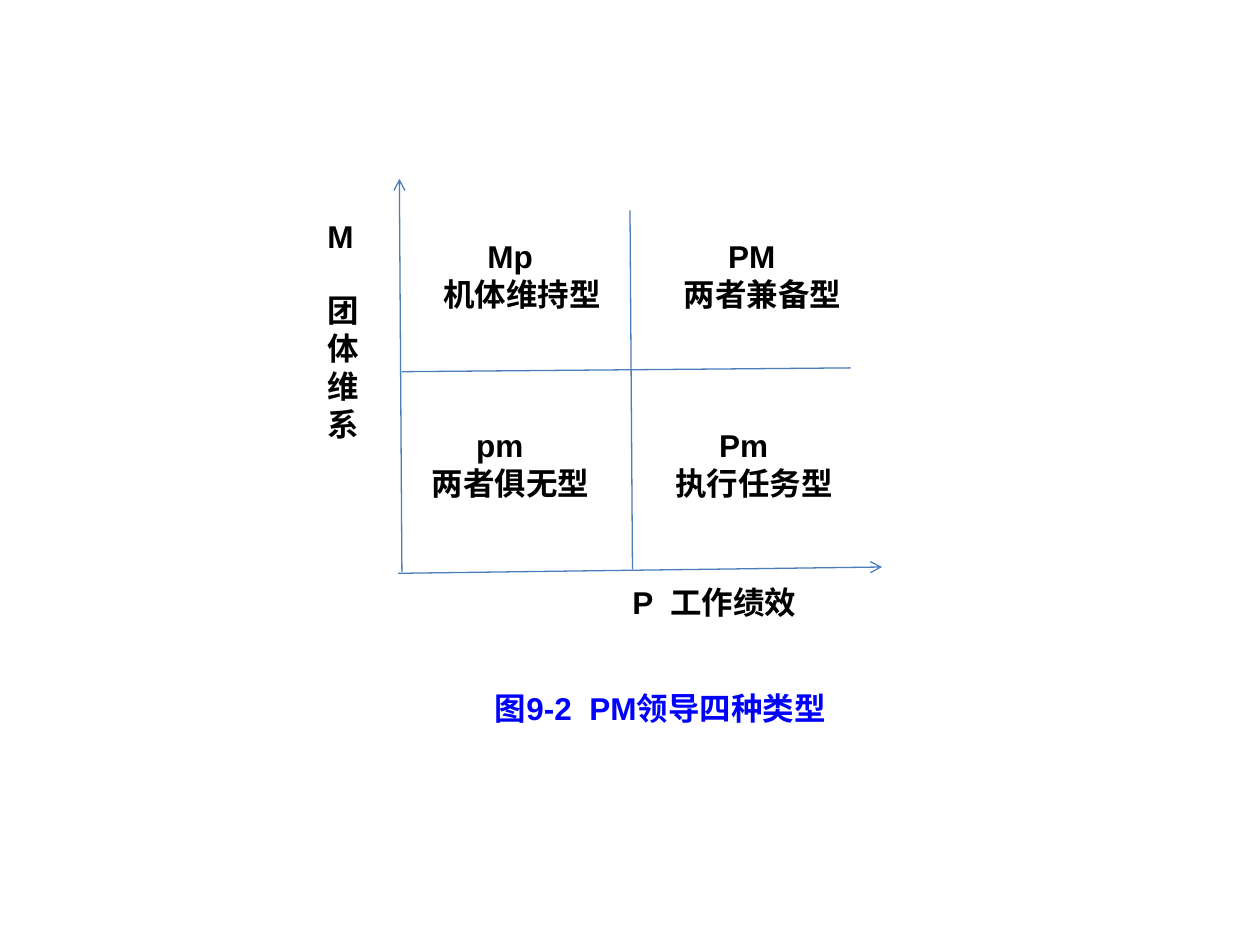
import pptx
import pptx.dml.color
import pptx.enum.shapes
import pptx.enum.text
import pptx.oxml
import pptx.oxml.ns
import pptx.util
from pptx.util import Inches

AXIS_BLUE = pptx.dml.color.RGBColor(0x4A, 0x7E, 0xBB)
BLACK = pptx.dml.color.RGBColor(0, 0, 0)
CAPTION_BLUE = pptx.dml.color.RGBColor(0, 0, 0xFF)

prs = pptx.Presentation()
prs.slide_width, prs.slide_height = Inches(10), Inches(7.5)
s = prs.slides.add_slide(prs.slide_layouts[6])


def add_label(x, y, w, h, lines, color=BLACK):
    tf = s.shapes.add_textbox(Inches(x), Inches(y), Inches(w), Inches(h)).text_frame
    tf.word_wrap = True
    tf.auto_size = pptx.enum.text.MSO_AUTO_SIZE.SHAPE_TO_FIT_TEXT
    tf.text = "\n".join(lines)
    for p in tf.paragraphs:
        for r in p.runs:
            r.font.name = "Arial"
            r.font.size = pptx.util.Pt(18)
            r.font.bold = True
            r.font.color.rgb = color
    return tf


# Axes with arrowheads, then the two dividing lines
for x1, y1, x2, y2, is_axis in [
    (3.16, 4.55, 7, 4.5, True),
    (3.19, 4.54, 3.17, 1.42, True),
    (3.19, 2.95, 6.75, 2.92, False),
    (5.02, 4.52, 5, 1.67, False),
]:
    line = s.shapes.add_connector(
        pptx.enum.shapes.MSO_CONNECTOR.STRAIGHT,
        Inches(x1), Inches(y1), Inches(x2), Inches(y2))
    line.line.color.rgb = AXIS_BLUE
    line.line.width = pptx.util.Pt(0.75)
    if is_axis:
        ln = line.line._get_or_add_ln()
        ln.append(pptx.oxml.parse_xml(
            '<a:tailEnd %s type="arrow"/>' % pptx.oxml.ns.nsdecls("a")))
    line._element.spPr.append(pptx.oxml.parse_xml(
        "<a:effectLst %s/>" % pptx.oxml.ns.nsdecls("a")))

# Axis names; the narrow box stacks the vertical one
tf = add_label(2.5, 1.67, 0.52, 1.9, ["M", "团体维系"])
tf.paragraphs[1].space_before = pptx.util.Pt(21)
add_label(4.92, 4.58, 1.93, 0.4, ["P  工作绩效"])

# Quadrants: the code is indented above the type name
for x, y, w, code, name in [
    (3.42, 1.83, 1.54, "Mp", "机体维持型"),
    (5.33, 1.83, 1.5, "PM", "两者兼备型"),
    (3.33, 3.33, 1.68, "pm", "两者俱无型"),
    (5.26, 3.33, 1.5, "Pm", "执行任务型"),
]:
    tf = add_label(x, y, w, 0.7, [code, name])
    pPr = tf.paragraphs[0]._p.get_or_add_pPr()
    pPr.set("marL", str(Inches(0.35)))
    pPr.set("indent", "0")

# Caption
add_label(3.83, 5.42, 2.93, 0.7, ["图9-2  PM领导四种类型"], CAPTION_BLUE)

prs.save("out.pptx")
